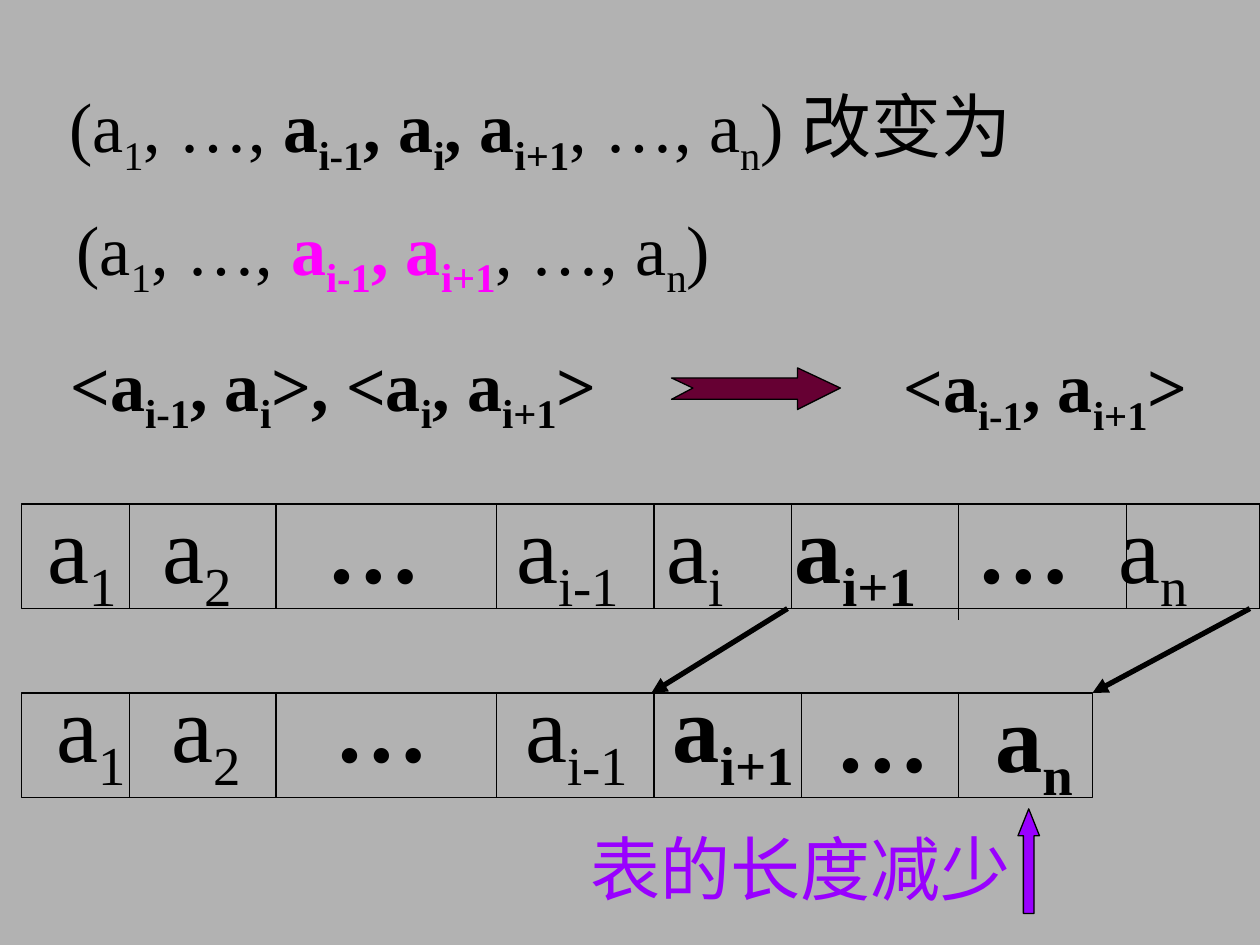
from lxml import etree
from pptx import Presentation
from pptx import util as u
from pptx.dml.color import RGBColor
from pptx.enum import shapes, text
from pptx.oxml import ns

COLORS = {
    "background": "B2B2B2",
    "ink": "000000",
    "kept": "FF00FF",
    "change": "660033",
    "length": "9900FF",
}


def write(parent, label, left, top, width, height, size=40, color="ink",
          bold_color=None, spacing=None):
    """Add one line of text; *...* is bold and |...| is subscript."""
    frame = parent.add_textbox(u.Inches(left), u.Inches(top),
                               u.Inches(width), u.Inches(height)).text_frame
    frame.word_wrap = False
    frame.auto_size = text.MSO_AUTO_SIZE.NONE
    paragraph = frame.paragraphs[0]
    if spacing:
        paragraph.line_spacing = spacing
    for i, weighted in enumerate(label.split("*")):
        bold = i % 2 == 1
        for j, part in enumerate(weighted.split("|")):
            if not part:
                continue
            run = paragraph.add_run()
            run.text = part
            run.font.name = "Times New Roman"
            run.font.size = u.Pt(size)
            run.font.bold = bold
            shade = bold_color if bold and bold_color else color
            run.font.color.rgb = RGBColor.from_string(COLORS[shade])
            if j % 2 == 1:
                run.font._element.set("baseline", "-25000")


def draw_line(parent, x1, y1, x2, y2, weight=0.75, arrow=False):
    line = parent.add_connector(shapes.MSO_CONNECTOR.STRAIGHT, u.Inches(x1),
                                u.Inches(y1), u.Inches(x2), u.Inches(y2))
    line.line.color.rgb = RGBColor.from_string(COLORS["ink"])
    line.line.width = u.Pt(weight)
    if arrow:
        etree.SubElement(line.line._get_or_add_ln(), ns.qn("a:tailEnd"), type="triangle")
    etree.SubElement(line._element.spPr, ns.qn("a:effectLst"))


prs = Presentation()
prs.slide_width, prs.slide_height = u.Inches(10), u.Inches(7.5)
slide = prs.slides.add_slide(prs.slide_layouts[6])
slide.background.fill.solid()
slide.background.fill.fore_color.rgb = RGBColor.from_string(COLORS["background"])
canvas = slide.shapes

# The list before and after the deletion
write(canvas, "(a|1|, …, *a|i-1|, a|i|, a|i+1|*, …, a|n|) 改变为",
      0.45, 0.42, 7.81, 1.05, spacing=1.25)
write(canvas, "(a|1|, …,* a|i-1|, a|i+1|*, …, a|n|)",
      0.51, 1.58, 5.23, 0.86, bold_color="kept")

# Neighbour pairs, with the change arrow between them
write(canvas, "*<a|i-1|, a|i|>, <a|i|, a|i+1|>*", 0.46, 2.66, 4.37, 0.86)
write(canvas, "*<a|i-1|, a|i+1|>*", 7.07, 2.67, 2.45, 0.86)
outline = [(5.33, 3), (6.33, 3), (6.33, 2.92), (6.67, 3.08), (6.33, 3.25),
           (6.33, 3.17), (5.33, 3.17), (5.5, 3.08)]
points = [(u.Inches(x), u.Inches(y)) for x, y in outline]
builder = canvas.build_freeform(*points[0])
builder.add_line_segments(points[1:], close=True)
change_arrow = builder.convert_to_shape()

# Storage rows: top, width, dividers (x, length), items (label, left, top)
rows = [
    (4, 9.83,
     [(1.03, 0.83), (2.19, 0.83), (3.94, 0.83), (5.19, 0.83), (6.28, 0.83),
      (7.61, 0.92), (8.94, 0.83)],
     [("a|1|", 0.28, 3.83), ("a|2|", 1.19, 3.83), ("*…*", 2.49, 3.83),
      ("a|i-1|", 4, 3.83), ("a|i|", 5.19, 3.83), ("*a|i+1|*", 6.21, 3.83),
      ("*…*", 7.65, 3.83), ("a|n|", 8.78, 3.83)]),
    (5.5, 8.5,
     [(x, 0.83) for x in (1.03, 2.19, 3.94, 5.19, 6.36, 7.61)],
     [("a|1|", 0.35, 5.25), ("a|2|", 1.26, 5.25), ("*…*", 2.56, 5.25),
      ("a|i-1|", 4.07, 5.25), ("*a|i+1|*", 5.24, 5.25),
      ("*…*", 6.53, 5.33), ("*a|n|*", 7.8, 5.33)]),
]
for top, width, dividers, items in rows:
    row = canvas.add_group_shape().shapes
    for label, left, item_top in items:
        write(row, label, left, item_top, 0.95, 1.13, size=54)
    for x, length in dividers:
        draw_line(row, x, top, x, top + length)
    border = row.add_shape(shapes.MSO_SHAPE.RECTANGLE, u.Inches(0.17),
                           u.Inches(top), u.Inches(width), u.Inches(0.83))
    border.shadow.inherit = False
    border.fill.background()
    border.line.color.rgb = RGBColor.from_string(COLORS["ink"])
    border.line.width = u.Pt(0.75)

# Items moving forward by one place
for start, end in ((6.25, 5.17), (9.92, 8.67)):
    draw_line(canvas, start, 4.83, end, 5.5, weight=3, arrow=True)

# Note on the shorter list
write(canvas, "表的长度减少", 4.59, 6.5, 3.53, 0.77, color="length")
length_arrow = canvas.add_shape(shapes.MSO_SHAPE.UP_ARROW, u.Inches(8.08),
                                u.Inches(6.42), u.Inches(0.17), u.Inches(0.83))
length_arrow.adjustments[0] = 0.5
length_arrow.adjustments[1] = 1.25

# Fill and line of both block arrows
for arrow, color in ((change_arrow, "change"), (length_arrow, "length")):
    arrow.shadow.inherit = False
    arrow.fill.solid()
    arrow.fill.fore_color.rgb = RGBColor.from_string(COLORS[color])
    arrow.line.color.rgb = RGBColor.from_string(COLORS["ink"])
    arrow.line.width = u.Pt(0.75)

prs.save("out.pptx")
